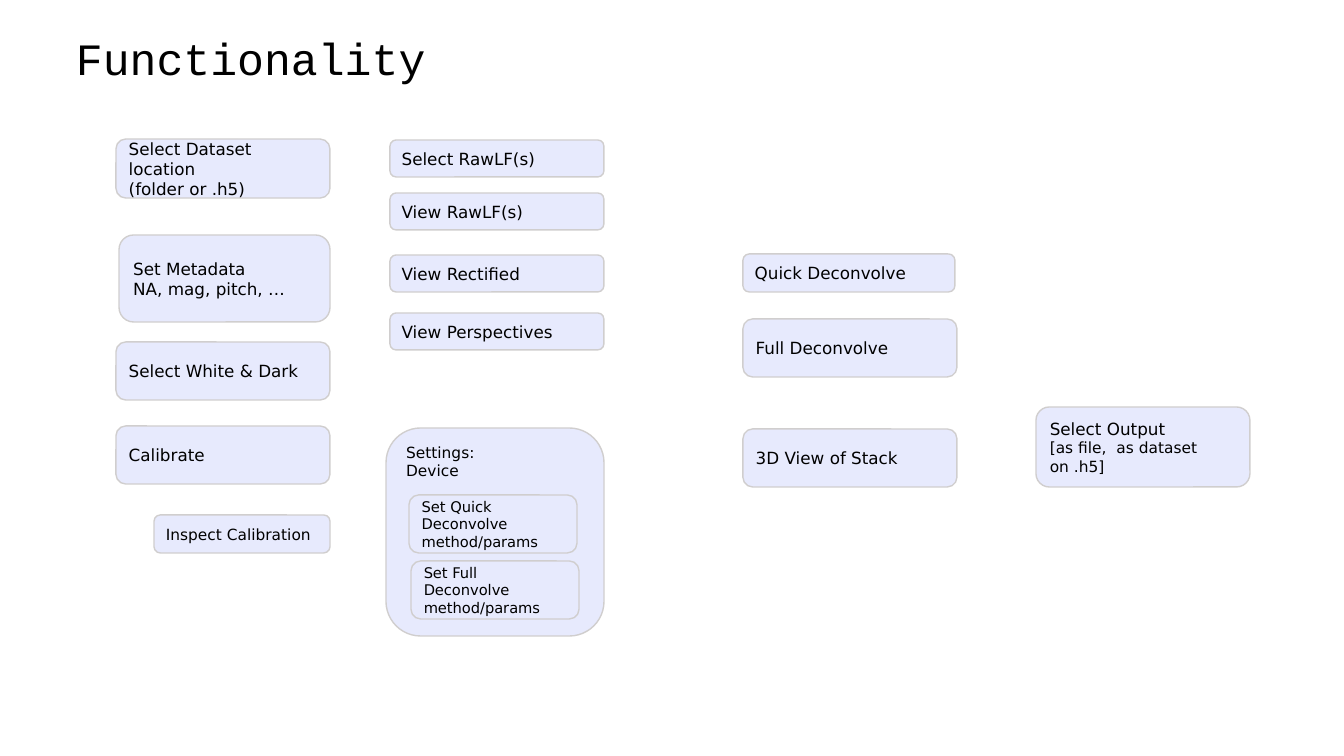
from pptx import Presentation
from pptx.dml.color import RGBColor
from pptx.enum.shapes import MSO_SHAPE as Shape
from pptx.enum.text import MSO_ANCHOR as Anchor, PP_ALIGN as Align
from pptx.util import Pt

EMU_PER_PX = 914400 / 100.8
COLORS = {"box": "E7EAFD", "border": "D0CECE", "text": "000000"}
BODY_FONT, TITLE_FONT = "DejaVu Sans", "Courier New"

# Each column: left, width, then (top, height, lines) per step
COLUMNS = [
    (116, 214, [
        (139, 59, ["Select Dataset location", "(folder or .h5)"]),
        (342, 58, ["Select White & Dark"]),
        (426, 58, ["Calibrate"]),
    ]),
    (390, 214, [
        (140, 37, ["Select RawLF(s)"]),
        (193, 37, ["View RawLF(s)"]),
        (255, 37, ["View Rectified"]),
        (313, 37, ["View Perspectives"]),
    ]),
    (743, 214, [
        (319, 58, ["Full Deconvolve"]),
        (429, 58, ["3D View of Stack"]),
    ]),
]


def px(length):
    return round(length * EMU_PER_PX)


def color(name):
    return RGBColor.from_string(COLORS[name])


def write_lines(frame, lines, sizes, font, anchor):
    """Write one paragraph per line, each with its own size."""
    frame.word_wrap = True
    frame.vertical_anchor = anchor
    for index, (line, size) in enumerate(zip(lines, sizes)):
        paragraph = frame.paragraphs[0] if index == 0 else frame.add_paragraph()
        paragraph.alignment = Align.LEFT
        run = paragraph.add_run()
        run.text = line
        run.font.size = Pt(size)
        run.font.name = font
        run.font.color.rgb = color("text")


def add_title(slide, title):
    heading = slide.shapes.add_textbox(px(66), px(24), px(1117), px(73))
    write_lines(heading.text_frame, [title], [32], TITLE_FONT, Anchor.MIDDLE)
    heading.text_frame.paragraphs[0].line_spacing = 0.9


def add_step(slide, left, top, width, height, lines, sizes=(12, 12),
             anchor=Anchor.MIDDLE):
    step = slide.shapes.add_shape(Shape.ROUNDED_RECTANGLE, px(left), px(top),
                                  px(width), px(height))
    step.shadow.inherit = False
    step.fill.solid()
    step.fill.fore_color.rgb = color("box")
    step.line.color.rgb = color("border")
    step.line.width = Pt(1)
    write_lines(step.text_frame, lines, sizes, BODY_FONT, anchor)


def main():
    deck = Presentation()
    deck.slide_width, deck.slide_height = px(1344), px(756)
    slide = deck.slides.add_slide(deck.slide_layouts[6])
    add_title(slide, "Functionality")

    # Steps aligned in columns
    for left, width, steps in COLUMNS:
        for top, height, lines in steps:
            add_step(slide, left, top, width, height, lines)

    # Steps with their own width or text size
    add_step(slide, 119, 235, 211, 87, ["Set Metadata", "NA, mag, pitch, …"])
    add_step(slide, 154, 515, 176, 38, ["Inspect Calibration"], [11])
    add_step(slide, 743, 254, 212, 38, ["Quick Deconvolve"])
    add_step(slide, 1036, 407, 214, 80,
             ["Select Output", "[as file,  as dataset on .h5]"], [12, 11])

    # Settings panel with its two methods
    add_step(slide, 386, 428, 218, 208, ["Settings:", "Device"], [11, 11],
             Anchor.TOP)
    for left, top, method in [(409, 495, "Quick"), (411, 561, "Full")]:
        add_step(slide, left, top, 168, 58,
                 [f"Set {method} Deconvolve method/params"], [10.5])

    deck.save("out.pptx")


if __name__ == "__main__":
    main()
